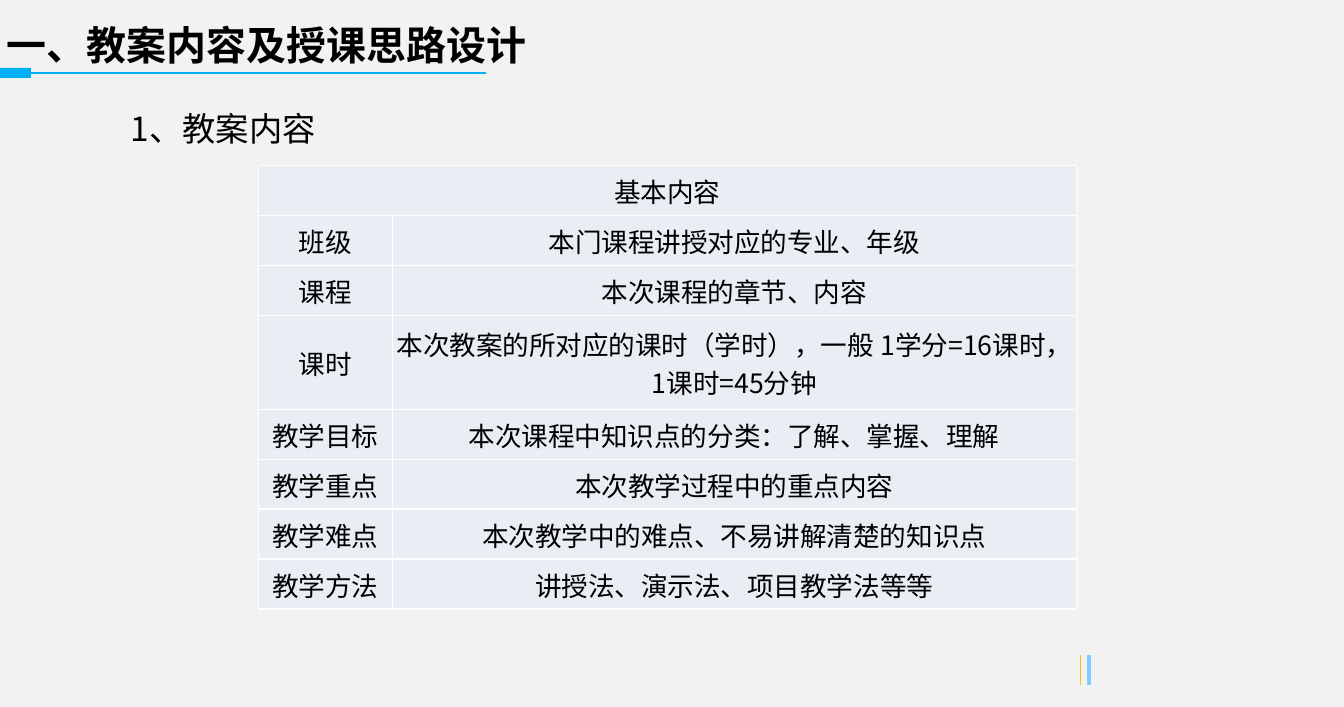
from lxml.etree import SubElement
from pptx import Presentation
from pptx.dml.color import RGBColor
from pptx.enum.shapes import MSO_CONNECTOR as Connector, MSO_SHAPE as Shape
from pptx.enum.text import MSO_ANCHOR as Anchor, MSO_AUTO_SIZE as AutoSize, PP_ALIGN as Align
from pptx.oxml import parse_xml
from pptx.oxml.ns import nsdecls, qn
from pptx.util import Pt

SCALE = 7620  # EMU in one px, 120 px to the inch
FONT = "Noto Sans CJK SC"
COLORS = {
    "page": "F2F2F2",
    "text": "000000",
    "accent": "00B0F0",
    "pale_blue": "7DCDFF",
    "amber": "FFC000",
    "cell": "E9EDF4",
    "border": "FFFFFF",
}
HEADING = "基本内容"
CONTENT = [
    ("班级", "本门课程讲授对应的专业、年级"),
    ("课程", "本次课程的章节、内容"),
    ("课时", "本次教案的所对应的课时（学时），一般 1学分=16课时，1课时=45分钟"),
    ("教学目标", "本次课程中知识点的分类：了解、掌握、理解"),
    ("教学重点", "本次教学过程中的重点内容"),
    ("教学难点", "本次教学中的难点、不易讲解清楚的知识点"),
    ("教学方法", "讲授法、演示法、项目教学法等等"),
]
COLUMN_WIDTHS = (134, 685)
ROW_HEIGHT, TALL_ROW_HEIGHT, TALL_ROW = 50, 94, 3


def px(*lengths):
    return [length * SCALE for length in lengths]


def color(name):
    return RGBColor.from_string(COLORS[name])


def write(para, text, size, align, bold=False):
    para.text = text
    para.alignment = align
    font = para.font
    font.name, font.size, font.bold = FONT, Pt(size), bold
    font.color.rgb = color("text")
    properties = para._p.pPr.find(qn("a:defRPr"))
    SubElement(properties, qn("a:ea"), typeface=FONT)


def add_line(page, start, end, color_name, width):
    line = page.shapes.add_connector(Connector.STRAIGHT, *px(*start, *end))
    line.line.color.rgb = color(color_name)
    line.line.width = Pt(width)
    SubElement(line._element.spPr, qn("a:effectLst"))


def add_corner_marks(page, left, top, height):
    for offset, name, width in ((9, "pale_blue", 2.25), (0, "amber", 0.75)):
        x = left + offset
        add_line(page, (x, top), (x, top + height), name, width)


def add_title(page, left, top, width, height):
    title = page.shapes.title
    title.left, title.top, title.width, title.height = px(left, top, width, height)
    frame = title.text_frame
    frame.auto_size = AutoSize.NONE
    frame.vertical_anchor = Anchor.MIDDLE
    para = frame.paragraphs[0]
    write(para, "一、教案内容及授课思路设计", 24, Align.LEFT, bold=True)
    para.line_spacing = 1.3
    indent = 46 * SCALE
    para._p.pPr.set("marL", str(indent))
    para._p.pPr.set("indent", str(-indent))


def add_underline(page, left, top, width, height):
    """Draw a solid tab and the thin line that runs right from its middle."""
    tab_width = 31
    middle = top + height // 2
    add_line(page, (left + width, middle), (left + tab_width, middle), "accent", 0.75)
    tab = page.shapes.add_shape(Shape.RECTANGLE, *px(left, top, tab_width, height))
    tab.shadow.inherit = False
    tab.fill.solid()
    tab.fill.fore_color.rgb = color("accent")
    tab.line.fill.background()


def add_subtitle(page, left, top, width, height):
    box = page.shapes.add_textbox(*px(left, top, width, height))
    frame = box.text_frame
    frame.word_wrap = True
    frame.vertical_anchor = Anchor.MIDDLE
    write(frame.paragraphs[0], "1、教案内容", 20, Align.CENTER)


def format_cell(cell):
    cell.fill.solid()
    cell.fill.fore_color.rgb = color("cell")
    cell.vertical_anchor = Anchor.MIDDLE
    cell.margin_left, cell.margin_right, cell.margin_top, cell.margin_bottom = px(1, 1, 1, 0)
    for index, side in enumerate("LRTB"):
        border = parse_xml(
            f'<a:ln{side} {nsdecls("a")} w="{Pt(1)}"><a:solidFill>'
            f'<a:srgbClr val="{COLORS["border"]}"/></a:solidFill></a:ln{side}>'
        )
        cell._tc.tcPr.insert(index, border)


def add_content_table(page, left, top):
    heights = [ROW_HEIGHT] * (len(CONTENT) + 1)
    heights[TALL_ROW] = TALL_ROW_HEIGHT
    size = sum(COLUMN_WIDTHS), sum(heights)
    table = page.shapes.add_table(
        len(heights), len(COLUMN_WIDTHS), *px(left, top, *size)
    ).table
    table.first_row = table.horz_banding = False
    for column, width in zip(table.columns, px(*COLUMN_WIDTHS)):
        column.width = width
    for row, height in zip(table.rows, px(*heights)):
        row.height = height
    for cell in table.iter_cells():
        format_cell(cell)

    heading = table.cell(0, 0)
    heading.merge(table.cell(0, 1))
    write(heading.text_frame.paragraphs[0], HEADING, 16, Align.CENTER)
    for row, texts in enumerate(CONTENT, start=1):
        for column, text in enumerate(texts):
            para = table.cell(row, column).text_frame.paragraphs[0]
            write(para, text, 16, Align.CENTER)


def build_lesson_page(deck):
    page = deck.slides.add_slide(deck.slide_layouts[5])
    page.background.fill.solid()
    page.background.fill.fore_color.rgb = color("page")
    add_corner_marks(page, 1082, 656, 30)
    add_title(page, -5, 2, 1156, 71)
    add_underline(page, 0, 68, 487, 10)
    add_subtitle(page, 92, 90, 263, 76)
    add_content_table(page, 259, 166)


def main():
    deck = Presentation()
    deck.slide_width, deck.slide_height = px(1346, 708)
    build_lesson_page(deck)
    deck.save("out.pptx")


if __name__ == "__main__":
    main()
